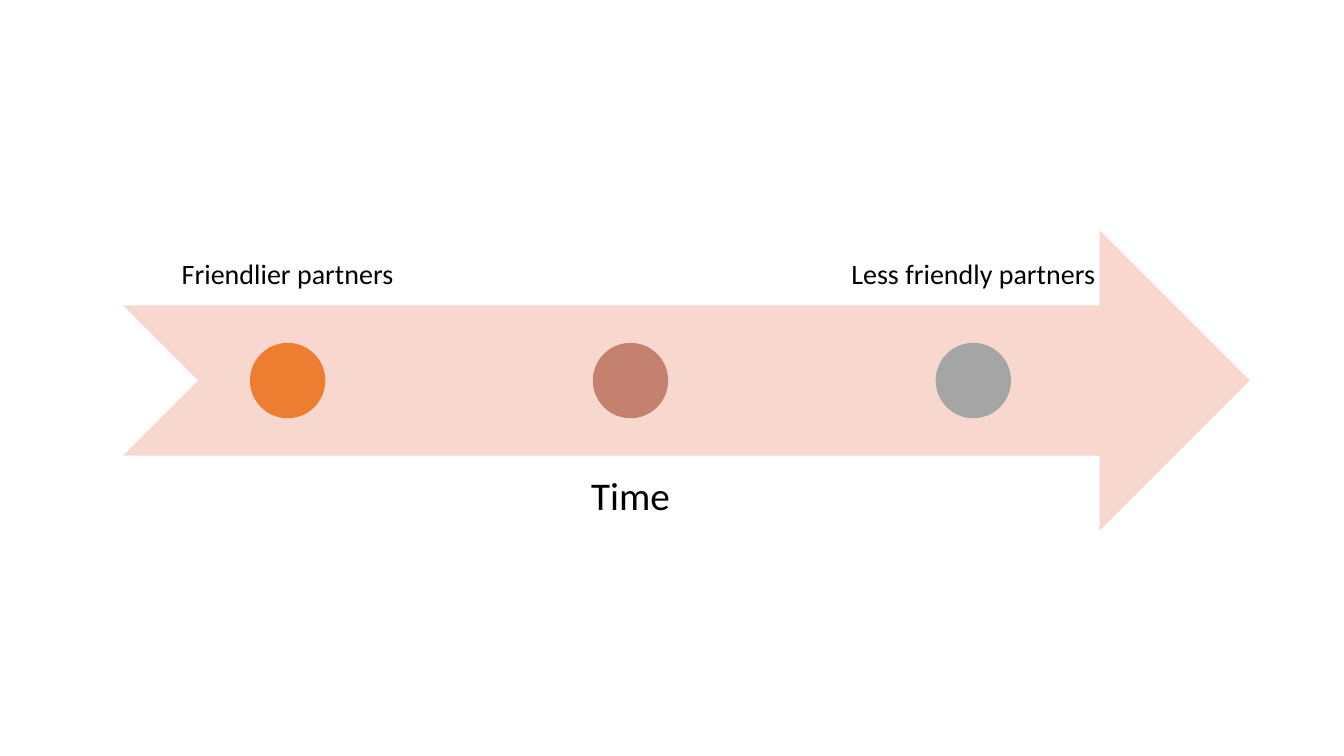
import pptx
import pptx.dml.color
import pptx.enum.shapes
import pptx.enum.text
import pptx.util

Cm = pptx.util.Cm
Pt = pptx.util.Pt
Shape = pptx.enum.shapes.MSO_SHAPE
Anchor = pptx.enum.text.MSO_ANCHOR

COLORS = {
    "arrow": "F8D7CE",
    "early": "ED7D31",
    "middle": "C48170",
    "late": "A5A5A5",
    "text": "000000",
}

# Timeline geometry in centimetres
FIRST_CENTER, CENTER_STEP = 7.25, 8.64
AXIS = 9.59
DOT_SIZE = 1.9
LABEL_WIDTH, LABEL_HEIGHT = 8.23, 7.57
LABEL_TOP_ABOVE, LABEL_TOP_BELOW = 0.13, 11.48

# Label, dot color, font size, inset, anchor, label top
STAGES = [
    ("Friendlier partners", "early", 20, 0.4, Anchor.BOTTOM, LABEL_TOP_ABOVE),
    ("Time", "middle", 28, 0.55, Anchor.TOP, LABEL_TOP_BELOW),
    ("Less friendly partners", "late", 20, 0.4, Anchor.BOTTOM, LABEL_TOP_ABOVE),
]


def rgb(name):
    return pptx.dml.color.RGBColor.from_string(COLORS[name])


def add_filled_shape(page, kind, left, top, width, height, color):
    shape = page.shapes.add_shape(kind, Cm(left), Cm(top), Cm(width), Cm(height))
    shape.shadow.inherit = False
    shape.fill.solid()
    shape.fill.fore_color.rgb = rgb(color)
    shape.line.fill.background()


def add_label(page, text, center, top, size, inset, anchor):
    box = page.shapes.add_textbox(
        Cm(center - LABEL_WIDTH / 2), Cm(top), Cm(LABEL_WIDTH), Cm(LABEL_HEIGHT))
    frame = box.text_frame
    frame.word_wrap = True
    frame.vertical_anchor = anchor
    frame.margin_left = frame.margin_right = Cm(inset)
    frame.margin_top = frame.margin_bottom = Cm(inset)
    para = frame.paragraphs[0]
    para.text = text
    para.alignment = pptx.enum.text.PP_ALIGN.CENTER
    para.line_spacing = 0.9
    para.space_after = Pt(size * 0.35)
    para.font.name = "Calibri"
    para.font.size = Pt(size)
    para.font.color.rgb = rgb("text")


def main():
    deck = pptx.Presentation()
    deck.slide_width, deck.slide_height = Cm(33.87), Cm(19.05)
    page = deck.slides.add_slide(deck.slide_layouts[6])

    # Time arrow
    add_filled_shape(page, Shape.NOTCHED_RIGHT_ARROW,
                     3.1, AXIS - LABEL_HEIGHT / 2, 28.4, LABEL_HEIGHT, "arrow")

    # Stages along the arrow
    for index, (text, color, size, inset, anchor, top) in enumerate(STAGES):
        center = FIRST_CENTER + index * CENTER_STEP
        add_label(page, text, center, top, size, inset, anchor)
        add_filled_shape(page, Shape.OVAL, center - DOT_SIZE / 2,
                         AXIS - DOT_SIZE / 2, DOT_SIZE, DOT_SIZE, color)

    deck.save("out.pptx")


if __name__ == "__main__":
    main()
